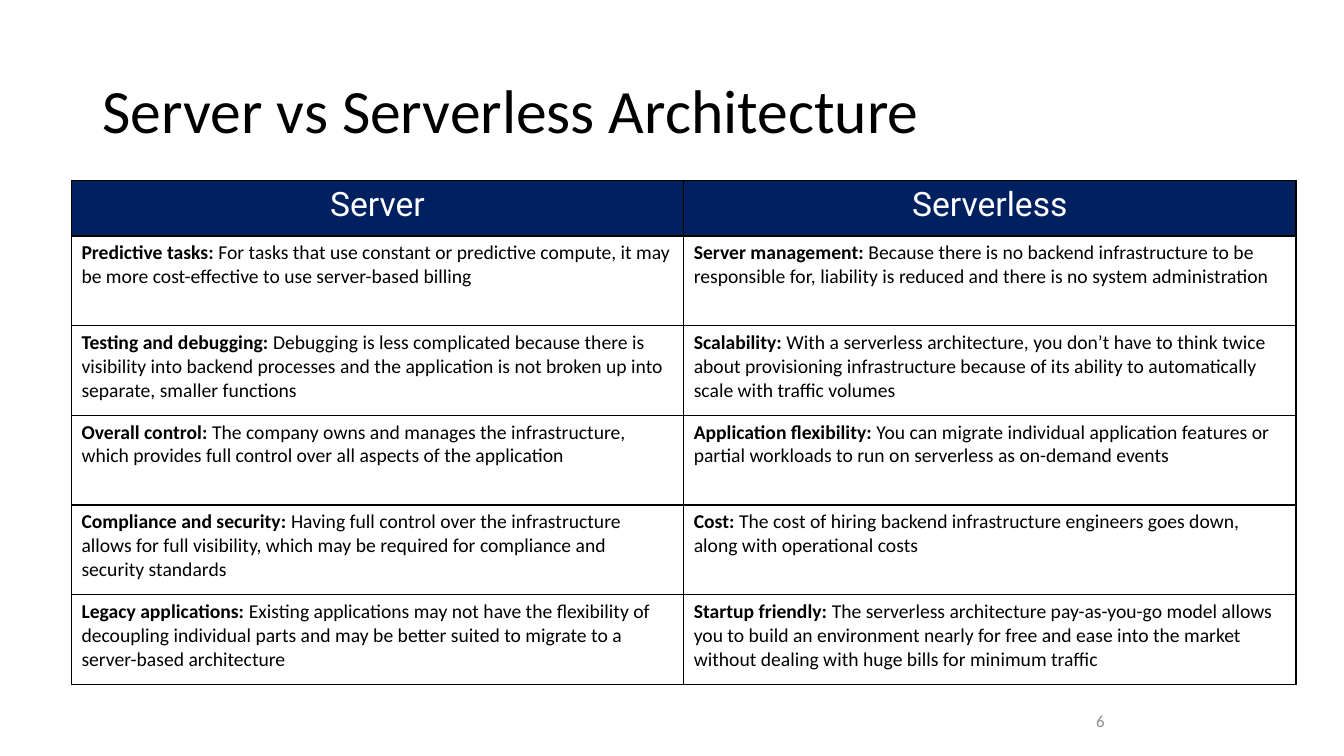
from lxml import etree
from pptx import Presentation
from pptx.dml.color import RGBColor
from pptx.enum import text
from pptx.oxml import ns
from pptx.util import Cm, Pt

BLACK = RGBColor(0x00, 0x00, 0x00)
WHITE = RGBColor(0xFF, 0xFF, 0xFF)
NAVY = RGBColor(0x00, 0x20, 0x60)
GREY = RGBColor(0x8C, 0x8C, 0x8C)

HEADINGS = ("Server", "Serverless")
COMPARISON = (
    (("Predictive tasks:", "For tasks that use constant or predictive compute, it may be "
      "more cost-effective to use server-based billing"),
     ("Server management:", "Because there is no backend infrastructure to be responsible "
      "for, liability is reduced and there is no system administration")),
    (("Testing and debugging:", "Debugging is less complicated because there is visibility "
      "into backend processes and the application is not broken up into separate, smaller "
      "functions"),
     ("Scalability:", "With a serverless architecture, you don’t have to think twice about "
      "provisioning infrastructure because of its ability to automatically scale with "
      "traffic volumes")),
    (("Overall control:", "The company owns and manages the infrastructure, which provides "
      "full control over all aspects of the application"),
     ("Application flexibility:", "You can migrate individual application features or "
      "partial workloads to run on serverless as on-demand events")),
    (("Compliance and security:", "Having full control over the infrastructure allows for "
      "full visibility, which may be required for compliance and security standards"),
     ("Cost:", "The cost of hiring backend infrastructure engineers goes down, along with "
      "operational costs")),
    (("Legacy applications:", "Existing applications may not have the flexibility of "
      "decoupling individual parts and may be better suited to migrate to a server-based "
      "architecture"),
     ("Startup friendly:", "The serverless architecture pay-as-you-go model allows you to "
      "build an environment nearly for free and ease into the market without dealing with "
      "huge bills for minimum traffic")),
)


def style_span(span, size, color, name="Calibri", bold=False):
    """Set the font of one run."""
    span.font.name = name
    span.font.size = Pt(size)
    span.font.color.rgb = color
    span.font.bold = bold


def add_label(page, words, left, top, width, height, size, color, align):
    """Add a vertically centred line of text and return its paragraph."""
    box = page.shapes.add_textbox(Cm(left), Cm(top), Cm(width), Cm(height))
    frame = box.text_frame
    frame.word_wrap = True
    frame.vertical_anchor = text.MSO_ANCHOR.MIDDLE
    frame.text = words
    para = frame.paragraphs[0]
    para.alignment = align
    style_span(para.runs[0], size, color)
    return para


def style_cell(cell, color):
    """Give a cell thin black borders and a solid fill."""
    properties = cell._tc.get_or_add_tcPr()
    for side in ("lnL", "lnR", "lnT", "lnB"):
        line = etree.SubElement(properties, ns.qn(f"a:{side}"), w=str(Pt(1)))
        fill = etree.SubElement(line, ns.qn("a:solidFill"))
        etree.SubElement(fill, ns.qn("a:srgbClr"), val=str(BLACK))
    cell.fill.solid()
    cell.fill.fore_color.rgb = color


def fill_heading(cell, words):
    """Write a column heading."""
    style_cell(cell, NAVY)
    cell.text_frame.text = words
    para = cell.text_frame.paragraphs[0]
    para.alignment = text.PP_ALIGN.CENTER
    style_span(para.runs[0], 24, WHITE, "Roboto")


def fill_point(cell, topic, detail):
    """Write a bold topic followed by its detail."""
    style_cell(cell, WHITE)
    para = cell.text_frame.paragraphs[0]
    for words, bold in ((f"{topic} ", True), (detail, False)):
        span = para.add_run()
        span.text = words
        style_span(span, 14, BLACK, bold=bold)


def add_comparison(page):
    """Add the table that compares both architectures."""
    frame = page.shapes.add_table(
        len(COMPARISON) + 1, len(HEADINGS), Cm(1.8), Cm(4.55), Cm(30.86), Cm(12.7))
    table = frame.table
    for column in table.columns:
        column.width = Cm(15.43)
    for index, row in enumerate(table.rows):
        row.height = Cm(2.26 if index else 1.4)
    for column, heading in enumerate(HEADINGS):
        fill_heading(table.cell(0, column), heading)
    for row, points in enumerate(COMPARISON, 1):
        for column, (topic, detail) in enumerate(points):
            fill_point(table.cell(row, column), topic, detail)


def main():
    """Build and save the slide."""
    deck = Presentation()
    deck.slide_width, deck.slide_height = Cm(33.87), Cm(19.05)
    page = deck.slides.add_slide(deck.slide_layouts[6])
    title = add_label(page, "Server vs Serverless Architecture",
                      2.33, 1.01, 29.21, 3.68, 44, BLACK, text.PP_ALIGN.LEFT)
    title.line_spacing = 0.9
    add_label(page, "6", 23.92, 17.66, 7.62, 1.01, 12, GREY, text.PP_ALIGN.CENTER)
    add_comparison(page)
    deck.save("out.pptx")


if __name__ == "__main__":
    main()
